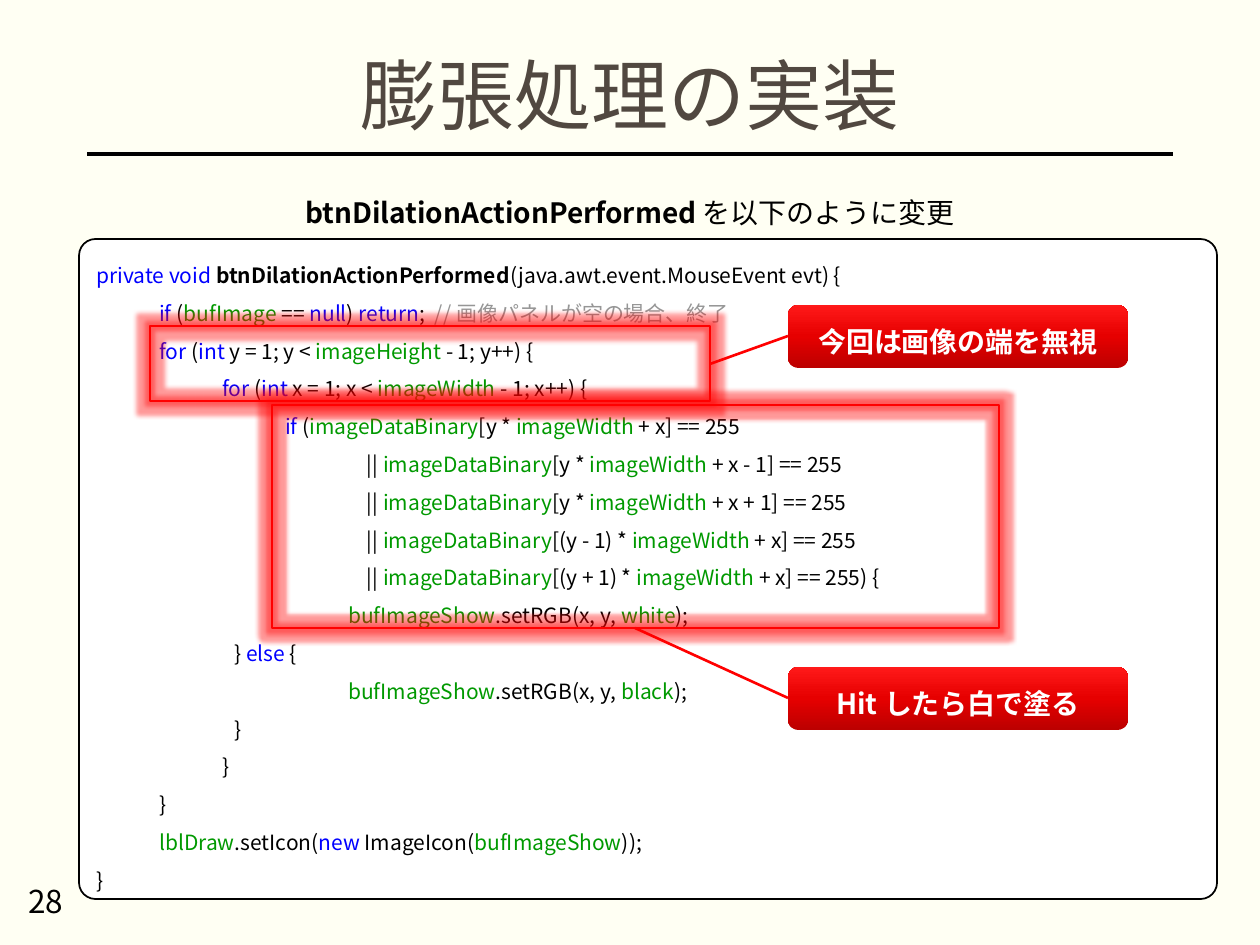
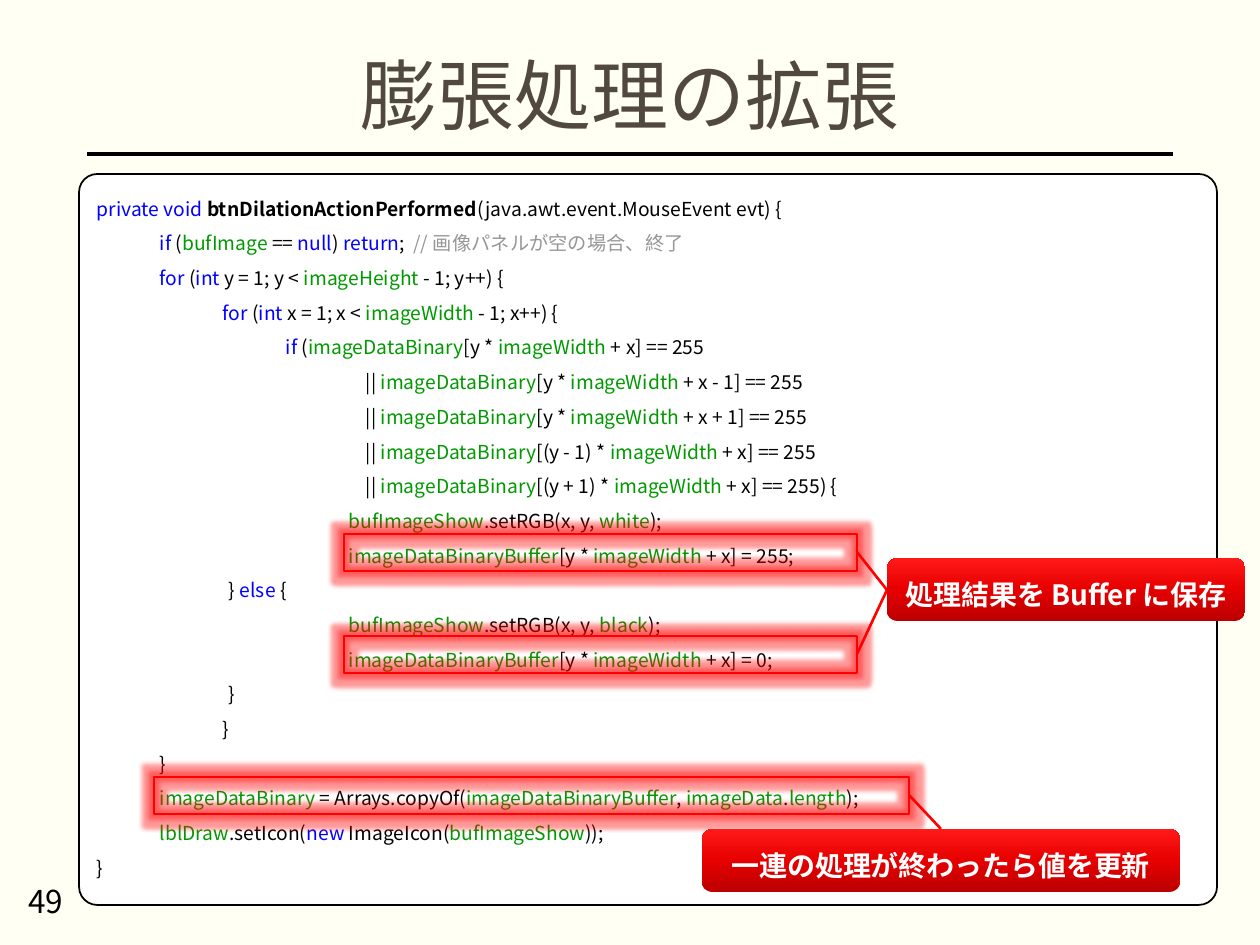
from dataclasses import dataclass
from itertools import groupby

from lxml import etree
from pptx import Presentation, util as u
from pptx.dml.color import RGBColor
from pptx.enum import shapes, text
from pptx.oxml import parse_xml
from pptx.oxml.ns import nsdecls, qn

EMU_PER_PX = u.Inches(1) / 126


@dataclass(frozen=True)
class Theme:
    font: str = "Noto Sans CJK JP"
    background: str = "FFFFF3"
    title: str = "514840"
    ink: str = "000000"
    paper: str = "FFFFFF"
    keyword: str = "0000FF"
    field: str = "009900"
    comment: str = "969696"
    accent: str = "FF0000"
    callout_stops: tuple = ((0, "BC0000"), (50, "E60000"), (100, "FF1919"))
    title_size: int = 44
    page_size: int = 18
    label_size: int = 16


THEME = Theme()
KEYWORDS = set("private void if null return for int else new".split())
FIELDS = set("bufImage bufImageShow imageHeight imageWidth imageData imageDataBinary "
             "imageDataBinaryBuffer lblDraw white black length".split())
METHOD = "btnDilationActionPerformed"

# Each code line is its indent depth and its text.
DILATION = [
    (0, f"private void {METHOD}(java.awt.event.MouseEvent evt) {{"),
    (1, "if (bufImage == null) return;  // 画像パネルが空の場合、終了"),
    (1, "for (int y = 1; y < imageHeight - 1; y++) {"),
    (2, "for (int x = 1; x < imageWidth - 1; x++) {"),
    (3, "if (imageDataBinary[y * imageWidth + x] == 255"),
    (4, "    || imageDataBinary[y * imageWidth + x - 1] == 255"),
    (4, "    || imageDataBinary[y * imageWidth + x + 1] == 255"),
    (4, "    || imageDataBinary[(y - 1) * imageWidth + x] == 255"),
    (4, "    || imageDataBinary[(y + 1) * imageWidth + x] == 255) {"),
    (4, "bufImageShow.setRGB(x, y, white);"),
    (1, "                } else {"),
    (4, "bufImageShow.setRGB(x, y, black);"),
    (1, "                }"),
    (2, "}"),
    (1, "}"),
    (1, "lblDraw.setIcon(new ImageIcon(bufImageShow));"),
    (0, "}"),
]
BUFFERED_DILATION = [
    *DILATION[:10],
    (4, "imageDataBinaryBuffer[y * imageWidth + x] = 255;"),
    *DILATION[10:12],
    (4, "imageDataBinaryBuffer[y * imageWidth + x] = 0;"),
    *DILATION[12:15],
    (1, "imageDataBinary = Arrays.copyOf(imageDataBinaryBuffer, imageData.length);"),
    *DILATION[15:],
]


def px(*lengths):
    return [u.Emu(round(length * EMU_PER_PX)) for length in lengths]


def apply(target, **values):
    for name, value in values.items():
        setattr(target, name, value)


def word_style(word):
    """Return the colour and weight of one code token."""
    if word in KEYWORDS:
        return THEME.keyword, False
    return (THEME.field if word in FIELDS else THEME.ink), word == METHOD


def highlight(line):
    """Split a code line into (text, colour, bold) spans."""
    code, slashes, remark = line.partition("//")
    words = ["".join(chars) for _, chars in groupby(code, str.isalnum)]
    spans = [("".join(same), *style) for style, same in groupby(words, word_style)]
    return spans + ([(slashes + remark, THEME.comment, False)] if slashes else [])


class SlideBuilder:
    """Holds the deck, its theme and the slide being filled."""

    def __init__(self, theme):
        self.theme = theme
        self.deck = Presentation()
        apply(self.deck, slide_width=u.Inches(10), slide_height=u.Inches(7.5))
        fill = self.deck.slide_master.background.fill
        fill.solid()
        fill.fore_color.rgb = RGBColor.from_string(theme.background)

    def start(self, title, number):
        self.page = self.deck.slides.add_slide(self.deck.slide_layouts[5])
        self.line((1173, 154), (87, 154), self.theme.ink, 2)
        box = self.page.shapes.title
        left, top, width, height = px(87, 45, 1086, 109)
        apply(box, left=left, top=top, width=width, height=height)
        apply(box.text_frame, vertical_anchor=text.MSO_ANCHOR.MIDDLE, word_wrap=True,
              auto_size=text.MSO_AUTO_SIZE.NONE)
        self.add_spans(box.text_frame.paragraphs[0], [(title, self.theme.title, False)],
                       self.theme.title_size, alignment=text.PP_ALIGN.CENTER,
                       line_spacing=0.9)
        self.label((16, 876, 284, 50), [(number, self.theme.ink, False)],
                   self.theme.page_size, text.PP_ALIGN.LEFT)

    def add_spans(self, para, spans, size, **formats):
        apply(para, **formats)
        for words, color, bold in spans:
            span = para.add_run()
            span.text = words
            apply(span.font, name=self.theme.font, size=u.Pt(size), bold=bold)
            span.font.color.rgb = RGBColor.from_string(color)
            east_asian = etree.SubElement(span.font._element, qn("a:ea"))
            east_asian.set("typeface", self.theme.font)

    def label(self, area, spans, size, alignment):
        box = self.page.shapes.add_textbox(*px(*area))
        box.text_frame.word_wrap = True
        self.add_spans(box.text_frame.paragraphs[0], spans, size, alignment=alignment)

    def shape(self, kind, area):
        box = self.page.shapes.add_shape(kind, *px(*area))
        box.shadow.inherit = False
        return box

    def outline(self, item, color, width):
        item.line.color.rgb = RGBColor.from_string(color)
        item.line.width = u.Pt(width)

    def line(self, start, end, color=THEME.accent, width=1.5):
        link = self.page.shapes.add_connector(
            shapes.MSO_CONNECTOR.STRAIGHT, *px(*start, *end))
        self.outline(link, color, width)
        etree.SubElement(link._element.spPr, qn("a:effectLst"))

    def code(self, area, lines, size):
        box = self.shape(shapes.MSO_SHAPE.ROUNDED_RECTANGLE, area)
        box.adjustments[0] = 0.025
        box.fill.solid()
        box.fill.fore_color.rgb = RGBColor.from_string(self.theme.paper)
        self.outline(box, self.theme.ink, 1)
        frame = box.text_frame
        apply(frame, vertical_anchor=text.MSO_ANCHOR.TOP, word_wrap=True)
        for index, (depth, line) in enumerate(lines):
            para = frame.add_paragraph() if index else frame.paragraphs[0]
            para._p.get_or_add_pPr().set("marL", str(px(63 * depth)[0]))
            self.add_spans(para, highlight(line), size, alignment=text.PP_ALIGN.LEFT,
                           line_spacing=u.Pt(size * 1.8))

    def frame(self, area):
        """Draw a glowing outline around some code lines."""
        box = self.shape(shapes.MSO_SHAPE.RECTANGLE, area)
        box.fill.background()
        self.outline(box, self.theme.accent, 1.5)
        box._element.spPr.find(qn("a:effectLst")).append(parse_xml(
            f'<a:glow {nsdecls("a")} rad="63500"><a:srgbClr val="{self.theme.accent}">'
            '<a:alpha val="40000"/></a:srgbClr></a:glow>'))

    def callout(self, left, top, width, words):
        box = self.shape(shapes.MSO_SHAPE.ROUNDED_RECTANGLE, (left, top, width, 63))
        stops = "".join(f'<a:gs pos="{at * 1000}"><a:srgbClr val="{color}"/></a:gs>'
                        for at, color in self.theme.callout_stops)
        box._element.spPr.insert(2, parse_xml(
            f'<a:gradFill {nsdecls("a")} rotWithShape="1"><a:gsLst>{stops}</a:gsLst>'
            '<a:lin ang="16200000" scaled="0"/></a:gradFill>'))
        box.line.fill.background()
        apply(box.text_frame, margin_left=0, margin_right=0, margin_bottom=0,
              margin_top=px(10)[0], vertical_anchor=text.MSO_ANCHOR.MIDDLE, word_wrap=True)
        self.add_spans(box.text_frame.paragraphs[0], [(words, self.theme.paper, True)],
                       self.theme.label_size, alignment=text.PP_ALIGN.CENTER)


def implementation_slide(builder):
    builder.start("膨張処理の実装", "28")
    builder.code((79, 239, 1138, 660), DILATION, 12)
    ink = builder.theme.ink
    builder.label((76, 189, 1108, 47),
                  [(METHOD + " ", ink, True), ("を以下のように変更", ink, False)],
                  builder.theme.label_size, text.PP_ALIGN.CENTER)
    builder.frame((150, 326, 560, 75))
    builder.callout(788, 305, 340, "今回は画像の端を無視")
    builder.line((788, 336), (710, 364))
    builder.frame((272, 405, 727, 223))
    builder.callout(788, 667, 340, "Hit したら白で塗る")
    builder.line((788, 698), (635, 628))


def extension_slide(builder):
    builder.start("膨張処理の拡張", "49")
    builder.code((79, 174, 1138, 731), BUFFERED_DILATION, 11)
    for top in (534, 636):
        builder.frame((344, top, 513, 37))
        builder.line((887, 590), (857, top + 18))
    builder.callout(887, 558, 358, "処理結果を Buffer に保存")
    builder.frame((154, 777, 755, 37))
    builder.callout(702, 829, 478, "一連の処理が終わったら値を更新")
    builder.line((941, 829), (909, 795))


def main():
    builder = SlideBuilder(THEME)
    implementation_slide(builder)
    extension_slide(builder)
    builder.deck.save("out.pptx")


if __name__ == "__main__":
    main()
